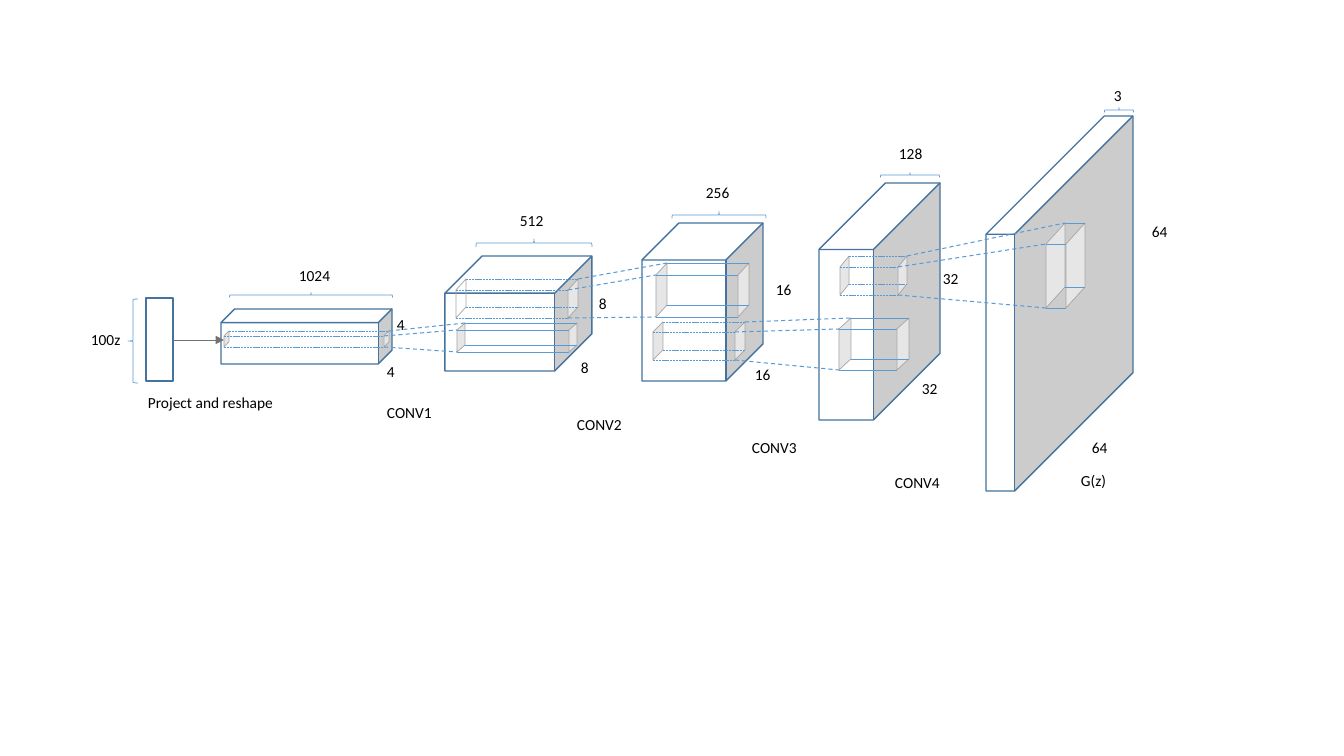
"""Draw a generator network: a noise vector, five feature volumes and the kernels linking them."""
from dataclasses import dataclass
from typing import Any

import lxml.etree
import pptx
import pptx.dml.color
import pptx.enum.dml
import pptx.enum.shapes
import pptx.enum.text
import pptx.oxml.ns
import pptx.util

RGB = pptx.dml.color.RGBColor
SHAPE = pptx.enum.shapes.MSO_SHAPE
DASH = pptx.enum.dml.MSO_LINE

PX = 12192000 / 1344
WHITE = RGB(0xFF, 0xFF, 0xFF)
BLACK = RGB(0x00, 0x00, 0x00)
NAVY = RGB(0x43, 0x73, 0x9E)
BLUE = RGB(0x5B, 0x9B, 0xD5)
FACE = RGB(0xE7, 0xE6, 0xE6)
FACE_EDGE = RGB(0xA6, 0xA6, 0xA6)
ARROW = RGB(0x76, 0x71, 0x71)
FONT = {"name": "Calibri", "size": pptx.util.Pt(11)}


@dataclass(frozen=True)
class Volume:
    """A block of feature maps, with depth as the cube adjustment."""
    x: int
    y: int
    w: int
    h: int
    depth: float


@dataclass(frozen=True)
class Kernel:
    """A see-through box: a left face at its front top corner, repeated run px to the right."""
    x: int
    y: int
    dx: int
    dy: int
    h: int
    run: int
    dash: Any = None
    edges: int = 4
    left_filled: bool = True

    def corners(self, shift: int = 0) -> list[tuple[int, int]]:
        """Return back top, front top, front bottom and back bottom of a face."""
        front, back = self.x + shift, self.x + shift + self.dx
        return [(back, self.y - self.dy), (front, self.y),
                (front, self.y + self.h), (back, self.y + self.h - self.dy)]


@dataclass(frozen=True)
class Brace:
    """A brace given by its centre, length and depth."""
    cx: int
    cy: int
    length: int
    depth: int
    rotation: int = 90


@dataclass(frozen=True)
class Label:
    """A caption in a text box."""
    text: str
    x: int
    y: int
    w: int
    wrap: bool = False


VOLUMES = [
    Volume(221, 309, 171, 55, 0.25),
    Volume(445, 256, 147, 115, 0.323),
    Volume(642, 223, 121, 158, 0.306),
    Volume(819, 183, 121, 237, 0.55),
    Volume(986, 116, 147, 375, 0.805),
]
K1024 = Kernel(224, 336, 5, 5, 11, 160, DASH.SQUARE_DOT, edges=3)
K512_TOP = Kernel(456, 290, 10, 11, 28, 112, DASH.SQUARE_DOT, left_filled=False)
K512_LOW = Kernel(457, 330, 8, 7, 22, 112)
K256_TOP = Kernel(656, 275, 11, 12, 42, 82)
K256_LOW = Kernel(653, 332, 10, 10, 28, 82, DASH.SQUARE_DOT)
K128_TOP = Kernel(840, 267, 9, 11, 28, 58, DASH.SQUARE_DOT)
K128_LOW = Kernel(839, 329, 12, 11, 41, 58)
K_OUT = Kernel(1046, 244, 19, 21, 64, 20)
KERNELS = [K1024, K512_TOP, K512_LOW, K256_TOP, K256_LOW, K128_TOP, K128_LOW, K_OUT]
LINKS = [(K1024, K512_LOW), (K512_TOP, K256_TOP), (K256_LOW, K128_LOW), (K128_TOP, K_OUT)]
BRACES = [
    Brace(133, 341, 84, 10, 0),
    Brace(311, 295, 163, 5),
    Brace(534, 243, 116, 8),
    Brace(719, 215, 94, 7),
    Brace(910, 175, 59, 5),
    Brace(1119, 110, 29, 5),
]
LABELS = [
    Label("100z", 81, 325, 50),
    Label("Project and reshape", 138, 388, 151),
    Label("1024", 289, 261, 52),
    Label("512", 510, 206, 66, True),
    Label("256", 696, 178, 66, True),
    Label("128", 889, 139, 66, True),
    Label("3", 1104, 81, 66, True),
    Label("4", 387, 310, 28),
    Label("4", 377, 357, 28),
    Label("8", 589, 289, 28),
    Label("8", 571, 353, 28),
    Label("16", 766, 275, 36),
    Label("16", 745, 360, 36),
    Label("32", 933, 264, 36),
    Label("32", 912, 374, 36),
    Label("64", 1142, 217, 36),
    Label("64", 1082, 433, 36),
    Label("CONV1", 377, 398, 66),
    Label("CONV2", 567, 410, 66),
    Label("CONV3", 742, 433, 66),
    Label("CONV4", 885, 468, 66),
    Label("G(z)", 1071, 466, 46),
]


def px(n: float) -> int:
    """Turn px into EMU."""
    return round(n * PX)


def style(s: Any, fill: RGB | None, line: RGB, width: float) -> None:
    """Set fill and outline and drop the shadow."""
    s.shadow.inherit = False
    if fill is None:
        s.fill.background()
    else:
        s.fill.solid()
        s.fill.fore_color.rgb = fill
    s.line.color.rgb = line
    s.line.width = pptx.util.Pt(width)


def add_preset(shapes: Any, kind: Any, x: float, y: float, w: int, h: int) -> Any:
    """Add a preset shape placed in px."""
    return shapes.add_shape(kind, px(x), px(y), px(w), px(h))


def add_line(shapes: Any, start: tuple[int, int], end: tuple[int, int],
             color: RGB, width: float, dash: Any = None) -> Any:
    """Add a straight line without shadow."""
    straight = pptx.enum.shapes.MSO_CONNECTOR.STRAIGHT
    c = shapes.add_connector(straight, *map(px, start + end))
    c.line.color.rgb = color
    c.line.width = pptx.util.Pt(width)
    if dash is not None:
        c.line.dash_style = dash
    lxml.etree.SubElement(c._element.spPr, pptx.oxml.ns.qn("a:effectLst"))
    return c


def add_kernel(shapes: Any, k: Kernel) -> None:
    """Add both faces of a kernel and the edges between them."""
    left, right = k.corners(), k.corners(k.run)
    for face, filled in ((left, k.left_filled), (right, True)):
        builder = shapes.build_freeform(*face[0], scale=PX)
        builder.add_line_segments(face[1:], close=True)
        style(builder.convert_to_shape(), FACE if filled else None, FACE_EDGE, 0.5)
    for start, end in list(zip(left, right))[:k.edges]:
        add_line(shapes, start, end, BLUE, 0.5, k.dash)


def add_brace(shapes: Any, b: Brace) -> None:
    """Add a brace, turned about its centre."""
    s = add_preset(shapes, SHAPE.LEFT_BRACE, b.cx - b.depth / 2, b.cy - b.length / 2,
                   b.depth, b.length)
    s.rotation = b.rotation
    style(s, None, BLUE, 0.5)


def add_label(shapes: Any, label: Label) -> None:
    """Add a caption."""
    tf = shapes.add_textbox(px(label.x), px(label.y), px(label.w), px(29)).text_frame
    tf.word_wrap = label.wrap
    tf.auto_size = pptx.enum.text.MSO_AUTO_SIZE.SHAPE_TO_FIT_TEXT
    r = tf.paragraphs[0].add_run()
    r.text = label.text
    for name, value in FONT.items():
        setattr(r.font, name, value)
    r.font.color.rgb = BLACK


def main() -> None:
    """Build and save the slide."""
    prs = pptx.Presentation()
    prs.slide_width, prs.slide_height = px(1344), px(756)
    shapes = prs.slides.add_slide(prs.slide_layouts[6]).shapes
    style(add_preset(shapes, SHAPE.RECTANGLE, 146, 298, 27, 83), WHITE, NAVY, 1)
    for v in VOLUMES:
        s = add_preset(shapes, SHAPE.CUBE, v.x, v.y, v.w, v.h)
        s.adjustments[0] = v.depth
        style(s, WHITE, NAVY, 1)
    arrow = add_line(shapes, (173, 340), (224, 340), ARROW, 0.5)
    lxml.etree.SubElement(arrow.line._get_or_add_ln(), pptx.oxml.ns.qn("a:tailEnd"), type="triangle")
    for k in KERNELS:
        add_kernel(shapes, k)
    for source, target in LINKS:
        for start, end in list(zip(source.corners(source.run), target.corners()))[:3]:
            add_line(shapes, start, end, BLUE, 0.75, DASH.DASH)
    for b in BRACES:
        add_brace(shapes, b)
    for label in LABELS:
        add_label(shapes, label)
    prs.save("out.pptx")


if __name__ == "__main__":
    main()
